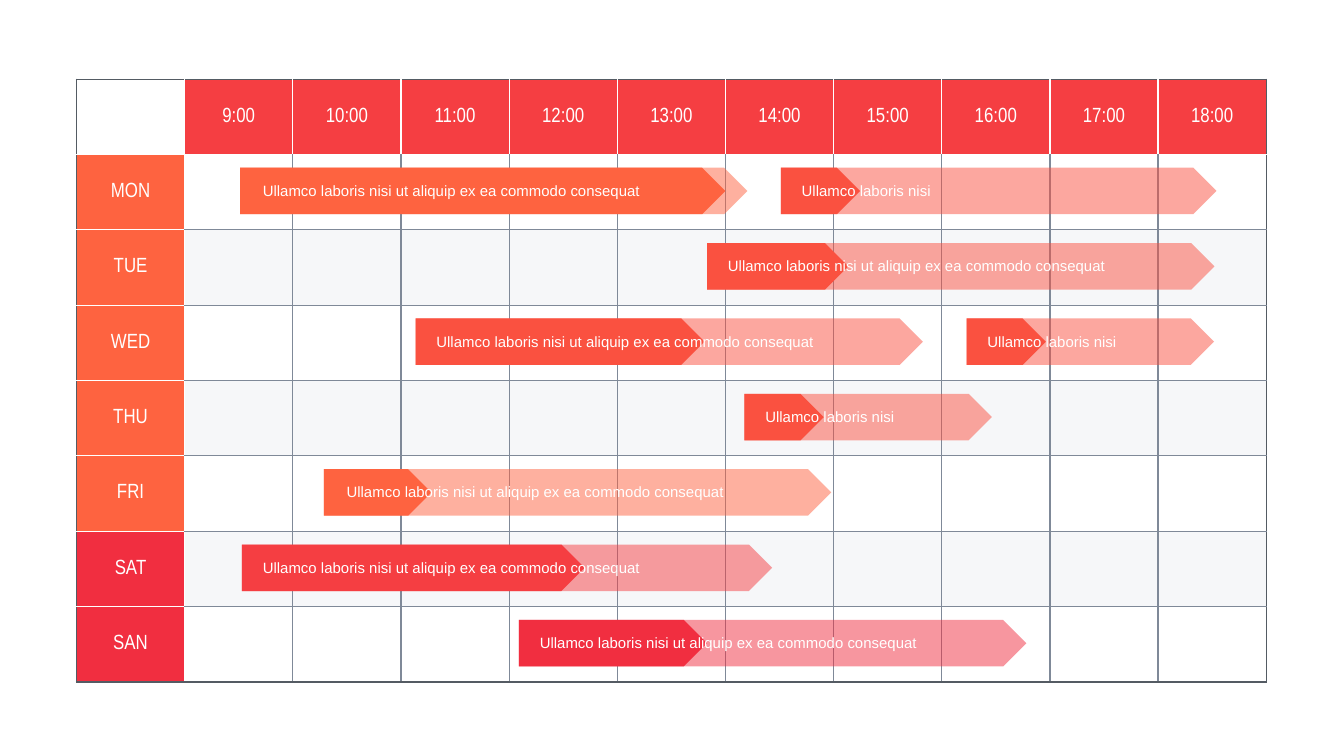
from lxml import etree
from pptx import Presentation
from pptx.dml.color import RGBColor
from pptx.enum.shapes import MSO_SHAPE
from pptx.enum.text import MSO_ANCHOR, PP_ALIGN
from pptx.oxml.ns import qn
from pptx.util import Pt

ARROW = MSO_SHAPE.PENTAGON
MIDDLE = MSO_ANCHOR.MIDDLE
CENTER = PP_ALIGN.CENTER

WHITE = RGBColor(0xFF, 0xFF, 0xFF)
DARK = RGBColor(0x54, 0x5B, 0x63)
GRAY = RGBColor(0x7F, 0x89, 0x98)
PALE = RGBColor(0xEE, 0xF0, 0xF4)
ORANGE = RGBColor(0xFE, 0x63, 0x40)
CORAL = RGBColor(0xFA, 0x51, 0x40)
RED = RGBColor(0xF5, 0x3E, 0x42)
CRIMSON = RGBColor(0xF1, 0x2E, 0x40)

LEFT, TOP = 41, 42.4
COL, ROW = 57.95, 40.38
BAR = 24.9

HOURS = [f"{hour}:00" for hour in range(9, 19)]
DAYS = ["MON", "TUE", "WED", "THU", "FRI", "SAT", "SAN"]
LONG = "Ullamco laboris nisi ut aliquip ex ea commodo consequat"
SHORT = "Ullamco laboris nisi"

# day, left, full width, width done, colour, text
TASKS = [
    ("TUE", 378.8, 271.8, 75.6, CORAL, LONG),
    ("MON", 128.6, 271.8, 260, ORANGE, LONG),
    ("SAT", 129.6, 284, 183.6, RED, LONG),
    ("SAN", 278, 271.8, 100.8, CRIMSON, LONG),
    ("WED", 222.6, 271.8, 154.8, CORAL, LONG),
    ("WED", 517.8, 132.6, 42.5, CORAL, SHORT),
    ("MON", 418.3, 233.4, 42.5, CORAL, SHORT),
    ("FRI", 173.5, 271.8, 57.6, ORANGE, LONG),
    ("THU", 398.8, 132.6, 42.5, CORAL, SHORT),
]


def paint(fill, color, alpha=100):
    """Fill with a colour; alpha is the opacity in percent."""
    fill.solid()
    fill.fore_color.rgb = color
    if alpha < 100:
        for node in fill._xPr.iter(qn("a:srgbClr")):
            etree.SubElement(node, qn("a:alpha"), val=str(alpha * 1000))


def write(frame, text, font, size):
    frame.margin_left = frame.margin_right = Pt(2.7)
    frame.margin_top = frame.margin_bottom = Pt(1.35)
    run = frame.paragraphs[0].add_run()
    run.text = text
    run.font.name = font
    run.font.size = Pt(size)
    run.font.color.rgb = WHITE


def edge(line, last, head):
    """Colour of a grid line, counted from 0 to last, beside a head cell or not."""
    if line in (0, last):
        return DARK
    return WHITE if line == 1 or head else GRAY


def border(cell, side, color):
    props = cell._tc.get_or_add_tcPr()
    line = etree.SubElement(props, qn(f"a:ln{side}"), w=str(Pt(0.75)))
    fill = etree.SubElement(line, qn("a:solidFill"))
    etree.SubElement(fill, qn("a:srgbClr"), val=str(color))


def style(cell, row, col):
    cols, rows = len(HOURS) + 1, len(DAYS) + 1
    border(cell, "L", edge(col, cols, row == 0))
    border(cell, "R", edge(col + 1, cols, row == 0))
    border(cell, "T", edge(row, rows, col == 0))
    border(cell, "B", edge(row + 1, rows, col == 0))
    if row == 0 and col > 0:
        label(cell, HOURS[col - 1], RED)
    elif col == 0 and row > 0:
        label(cell, DAYS[row - 1], ORANGE if row <= 5 else CRIMSON)
    elif row > 0 and row % 2 == 0:
        paint(cell.fill, PALE, 50)
    else:
        cell.fill.background()


def label(cell, text, color):
    paint(cell.fill, color)
    cell.vertical_anchor = MIDDLE
    write(cell.text_frame, text, "Arial Narrow", 11)
    cell.text_frame.paragraphs[0].alignment = CENTER
    cell.margin_left = cell.margin_right = Pt(2.7)
    cell.margin_top = cell.margin_bottom = Pt(1.35)


def grid(slide):
    cols, rows = len(HOURS) + 1, len(DAYS) + 1
    table = slide.shapes.add_table(
        rows, cols, Pt(LEFT), Pt(TOP), Pt(COL * cols), Pt(ROW * rows)).table
    table.first_row = table.horz_banding = False
    for column in table.columns:
        column.width = Pt(COL)
    for row in range(rows):
        table.rows[row].height = Pt(ROW)
        for col in range(cols):
            style(table.cell(row, col), row, col)


def bar(group, left, top, width, color, alpha):
    shape = group.shapes.add_shape(ARROW, Pt(left), Pt(top), Pt(width), Pt(BAR))
    shape.shadow.inherit = False
    paint(shape.fill, color, alpha)
    shape.line.fill.background()


def task(slide, day, left, width, done, color, text):
    top = TOP + ROW * (DAYS.index(day) + 1) + 7.1
    group = slide.shapes.add_group_shape()
    bar(group, left, top, width, color, 50)
    bar(group, left, top, done, color, 100)
    gap = 9.5 if color == ORANGE else 8.5
    wide = 224 if text == LONG else 103
    box = group.shapes.add_textbox(Pt(left + gap), Pt(top + 6), Pt(wide), Pt(13))
    box.text_frame.word_wrap = True
    write(box.text_frame, text, "Arial", 8)


def main():
    deck = Presentation()
    deck.slide_width, deck.slide_height = Pt(720), Pt(405)
    slide = deck.slides.add_slide(deck.slide_layouts[6])
    grid(slide)
    for item in TASKS:
        task(slide, *item)
    deck.save("out.pptx")


if __name__ == "__main__":
    main()
